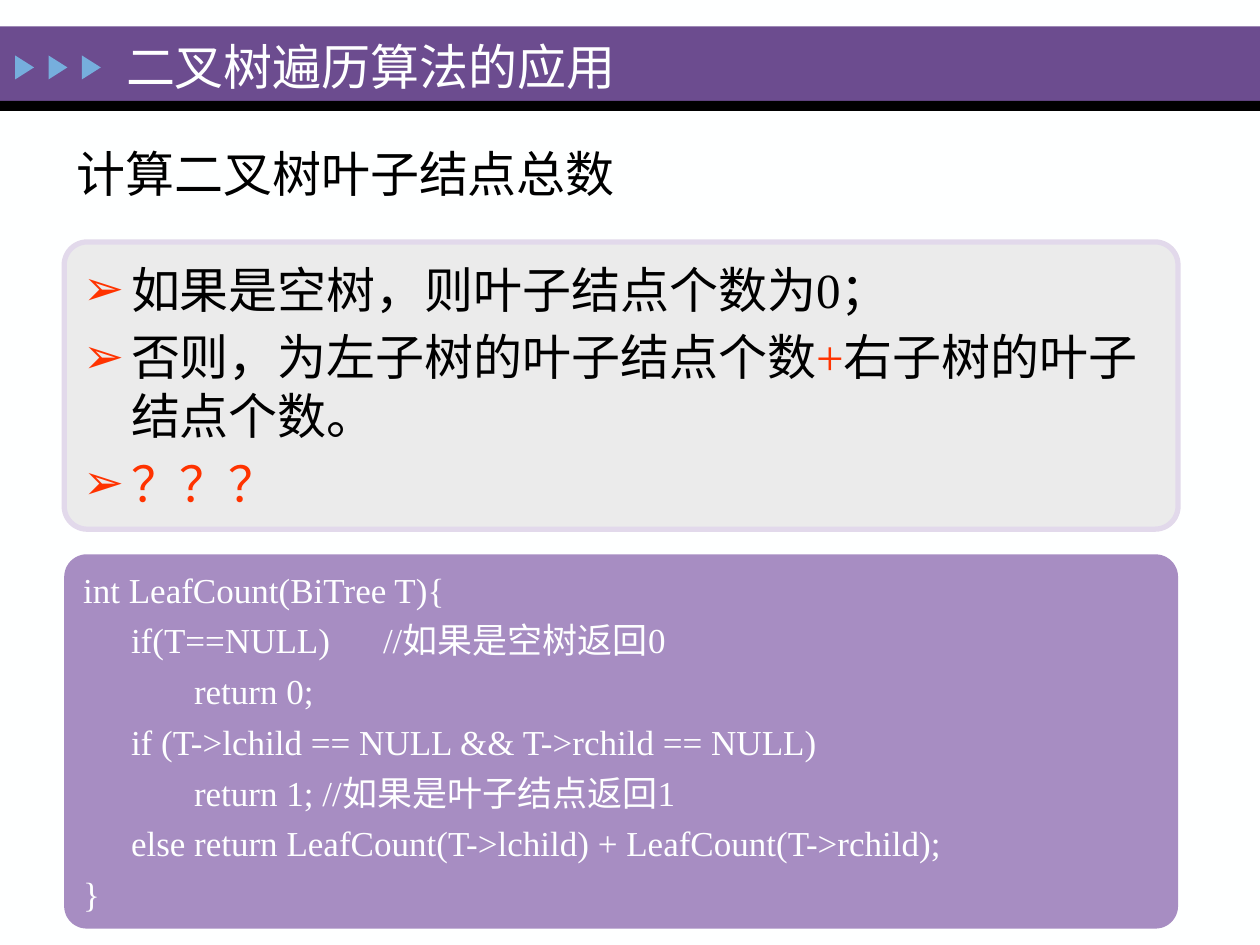
"""Build the slide on counting the leaves of a binary tree."""
import pptx
import pptx.dml.color
import pptx.enum.shapes
import pptx.enum.text
import pptx.util
from lxml import etree
from pptx.oxml.ns import qn

Inches = pptx.util.Inches
Pt = pptx.util.Pt
RGBColor = pptx.dml.color.RGBColor
MSO_SHAPE = pptx.enum.shapes.MSO_SHAPE

WHITE = RGBColor(0xFE, 0xFF, 0xFF)
BLACK = RGBColor(0x00, 0x00, 0x00)
PURPLE = RGBColor(0x6C, 0x4C, 0x8F)
LILAC = RGBColor(0xA7, 0x8D, 0xC2)
PALE_LILAC = RGBColor(0xE2, 0xD9, 0xEB)
GREY = RGBColor(0xEB, 0xEB, 0xEB)
BLUE = RGBColor(0x76, 0xAE, 0xDD)
RED = RGBColor(0xFF, 0x33, 0x00)

RULES = [
    [("如果是空树，则叶子结点个数为0；", BLACK)],
    [("否则，为左子树的叶子结点个数", BLACK), ("+", RED), ("右子树的叶子结点个数。", BLACK)],
    [("？？？", RED)],
]
CODE = [
    "int LeafCount(BiTree T){",
    " \tif(T==NULL) \t//如果是空树返回0",
    "\t\treturn 0;",
    "\tif (T->lchild == NULL && T->rchild == NULL)",
    "\t\treturn 1; //如果是叶子结点返回1",
    "\telse return LeafCount(T->lchild) + LeafCount(T->rchild);",
    "}",
]


class Deck:
    """Hold the text style and the current slide."""

    font = "Times New Roman"
    hang = Inches(0.38)
    gap = Pt(5)

    def __init__(self, s):
        """Start on a slide with a plain background."""
        self.s = s
        s.background.fill.solid()
        s.background.fill.fore_color.rgb = WHITE

    def place(self, sp, x, y, w, h):
        """Set the position and size of a shape."""
        sp.left, sp.top, sp.width, sp.height = map(Inches, (x, y, w, h))

    def shape(self, kind, x, y, w, h, fill, line=None, adj=None, shapes=None):
        """Add a filled preset shape."""
        shapes = shapes or self.s.shapes
        sp = shapes.add_shape(kind, *map(Inches, (x, y, w, h)))
        sp.shadow.inherit = False
        sp.fill.solid()
        sp.fill.fore_color.rgb = fill
        if line:
            sp.line.color.rgb = line
            sp.line.width = Pt(3)
        else:
            sp.line.fill.background()
        if adj:
            sp.adjustments[0] = adj
        return sp

    def arrows(self, count, x, y, step):
        """Add a group of triangles that point right."""
        group = self.s.shapes.add_group_shape()
        for i in range(count):
            sp = self.shape(MSO_SHAPE.ISOSCELES_TRIANGLE, x + i * step, y,
                            0.19, 0.15, BLUE, shapes=group.shapes)
            sp.rotation = 90

    def placeholder(self, idx, x, y, w, h):
        """Move a placeholder into position and to the front."""
        sp = self.s.placeholders[idx]
        self.place(sp, x, y, w, h)
        self.s.shapes._spTree.append(sp._element)
        return sp

    def textbox(self, x, y, w, h):
        """Add an empty text box."""
        return self.s.shapes.add_textbox(*map(Inches, (x, y, w, h)))

    def bullet(self, p):
        """Give a paragraph a red arrow bullet."""
        pPr = p._p.get_or_add_pPr()
        clr = etree.SubElement(pPr, qn("a:buClr"))
        etree.SubElement(clr, qn("a:srgbClr")).set("val", str(RED))
        etree.SubElement(pPr, qn("a:buChar")).set("char", "➢")

    def text(self, sp, paragraphs, size, hanging=False, bullets=False):
        """Write paragraphs of coloured runs into a shape."""
        tf = sp.text_frame
        tf.word_wrap = True
        tf.auto_size = pptx.enum.text.MSO_AUTO_SIZE.NONE
        tf.vertical_anchor = pptx.enum.text.MSO_ANCHOR.MIDDLE
        for i, runs in enumerate(paragraphs):
            p = tf.add_paragraph() if i else tf.paragraphs[0]
            if bullets:
                self.bullet(p)
            if hanging:
                pPr = p._p.get_or_add_pPr()
                pPr.set("marL", str(self.hang))
                pPr.set("indent", str(-self.hang))
            p.alignment = pptx.enum.text.PP_ALIGN.LEFT
            p.space_before = self.gap if i else Pt(0)
            for words, color in runs:
                r = p.add_run()
                r.text = words
                r.font.name = self.font
                r.font.size = Pt(size)
                r.font.color.rgb = color


def main():
    """Build and save the slide."""
    prs = pptx.Presentation()
    prs.slide_width, prs.slide_height = Inches(10), Inches(7.5)
    deck = Deck(prs.slides.add_slide(prs.slide_layouts[1]))

    deck.shape(MSO_SHAPE.RECTANGLE, 0, 0.21, 10, 0.59, PURPLE)
    deck.shape(MSO_SHAPE.RECTANGLE, 0, 0.8, 10, 0.08, BLACK)
    deck.arrows(3, 0.1, 0.46, 0.265)

    heading = deck.textbox(0.51, 1.09, 6.53, 0.57)
    deck.text(heading, [[("计算二叉树叶子结点总数", BLACK)]], 28)
    title = deck.placeholder(0, 0.9, 0.24, 7.27, 0.56)
    deck.text(title, [[("二叉树遍历算法的应用", WHITE)]], 28)

    deck.shape(MSO_SHAPE.ROUNDED_RECTANGLE, 0.51, 1.92, 8.84, 2.28, GREY, PALE_LILAC, 0.08)
    rules = deck.placeholder(1, 0.56, 1.92, 8.74, 2.28)
    deck.text(rules, RULES, 28, hanging=True, bullets=True)

    code = deck.shape(MSO_SHAPE.ROUNDED_RECTANGLE, 0.51, 4.4, 8.84, 2.97, LILAC, adj=0.06)
    deck.text(code, [[(row, WHITE)] for row in CODE], 20, hanging=True)

    prs.save("out.pptx")


if __name__ == "__main__":
    main()
